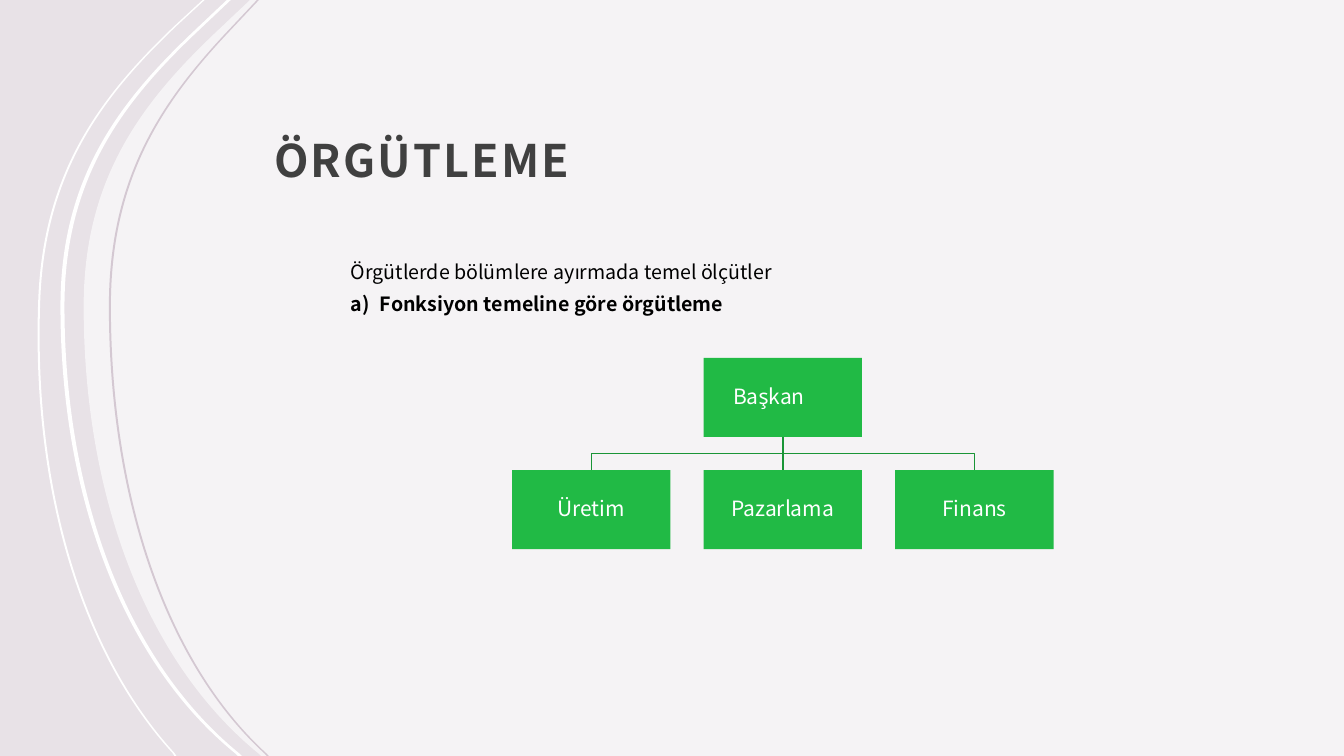
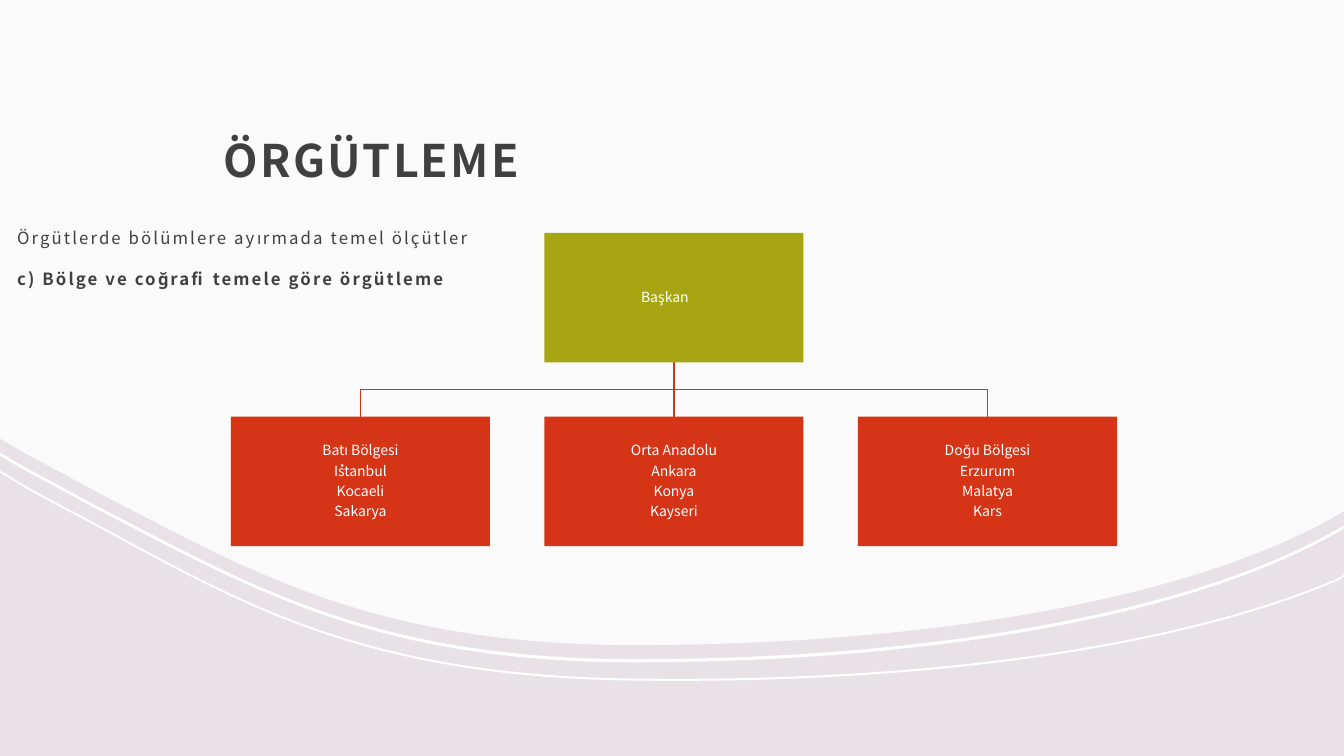
import dataclasses

import pptx
import pptx.dml.color
import pptx.enum.shapes
import pptx.enum.text
import pptx.oxml
import pptx.oxml.ns
import pptx.util
from pptx.util import Inches

SLIDE_WIDTH, SLIDE_HEIGHT = 13.33, 7.5


@dataclasses.dataclass(frozen=True)
class Theme:
    font: str = "Noto Sans CJK JP"
    background: str = "E8E2E7"
    white: str = "FFFFFF"
    hairline: str = "D4C8D2"
    dark: str = "404040"
    black: str = "000000"
    green: str = "21BA45"
    green_line: str = "1A9537"
    olive: str = "A8A512"
    red: str = "D53417"
    title_size: float = 32
    body_size: float = 14
    small_body_size: float = 12
    box_size: float = 15
    small_box_size: float = 10


def rgb(color):
    return pptx.dml.color.RGBColor.from_string(color)


def add_xml(parent, tag, **attributes):
    element = pptx.oxml.parse_xml(f"<a:{tag} {pptx.oxml.ns.nsdecls('a')}/>")
    for name, value in attributes.items():
        element.set(name, str(value))
    parent.append(element)
    return element


def shift(points, right=0, down=0):
    return [(x + right, y + down) for x, y in points]


class Deck:
    def __init__(self, theme):
        self.theme = theme
        self.presentation = pptx.Presentation()
        self.presentation.slide_width = Inches(SLIDE_WIDTH)
        self.presentation.slide_height = Inches(SLIDE_HEIGHT)
        fill = self.presentation.slide_master.background.fill
        fill.solid()
        fill.fore_color.rgb = rgb(theme.background)
        self.slide = None

    def new_slide(self):
        self.slide = self.presentation.slides.add_slide(self.presentation.slide_layouts[5])

    def outline(self, points, kinds, close=True):
        """Draw a freeform; kinds has L for a line (one point), C for a curve (three)."""
        (x, y), *rest = [(Inches(x), Inches(y)) for x, y in points]
        builder = self.slide.shapes.build_freeform(x, y)
        builder.add_line_segments(rest, close=close)
        shape = builder.convert_to_shape()
        shape.shadow.inherit = False
        lines = iter(shape.element.findall(".//" + pptx.oxml.ns.qn("a:lnTo")))
        for kind in kinds:
            line = next(lines)
            if kind == "C":
                curve = add_xml(line.getparent(), "cubicBezTo")
                line.addprevious(curve)
                for part in (line, next(lines), next(lines)):
                    curve.append(part[0])
                    part.getparent().remove(part)
        return shape

    def area(self, points, kinds, color, opacity=100):
        shape = self.outline(points, kinds)
        shape.line.fill.background()
        shape.fill.solid()
        shape.fill.fore_color.rgb = rgb(color)
        if opacity < 100:
            fill_color = shape.element.spPr.find(".//" + pptx.oxml.ns.qn("a:srgbClr"))
            add_xml(fill_color, "alpha", val=opacity * 1000)

    def ribbon(self, points, kinds, color, right=0, down=0):
        """Fill the band between a curve and its shifted self; kinds is symmetric."""
        band = points + shift(points, right, down)[::-1]
        self.area(band, kinds + "L" + kinds, color)

    def style(self, paragraph, size, color, bold=False, spacing=0):
        for run in paragraph.runs:
            run.font.name = self.theme.font
            run.font.size = pptx.util.Pt(size)
            run.font.bold = bold
            run.font.color.rgb = rgb(color)
            if spacing:
                run._r.get_or_add_rPr().set("spc", str(int(spacing * 100)))

    def frame(self, shape, margins, anchor):
        text_frame = shape.text_frame
        text_frame.word_wrap = True
        text_frame.auto_size = pptx.enum.text.MSO_AUTO_SIZE.NONE
        text_frame.vertical_anchor = anchor
        (text_frame.margin_left, text_frame.margin_top,
         text_frame.margin_right, text_frame.margin_bottom) = map(Inches, margins)
        return text_frame

    def title(self, text, left):
        title = self.slide.shapes.title
        title.element.getparent().append(title.element)  # above the panel
        title.left, title.top = Inches(left), Inches(0.48)
        title.width, title.height = Inches(9.18), Inches(1.47)
        text_frame = self.frame(title, (0.12, 0.12, 0.12, 0.1),
                                pptx.enum.text.MSO_ANCHOR.BOTTOM)
        text_frame.text = text
        paragraph = text_frame.paragraphs[0]
        paragraph.alignment = pptx.enum.text.PP_ALIGN.LEFT
        paragraph.line_spacing = 1.3
        self.style(paragraph, self.theme.title_size, self.theme.dark, True, 1.5)

    def body(self, lines, place, size, color, margins, gap, line_spacing=1.0,
             spacing=0, numbered=False):
        """Write an intro line and a bold, optionally lettered, second line."""
        box = self.slide.shapes.add_textbox(*map(Inches, place))
        text_frame = self.frame(box, margins, pptx.enum.text.MSO_ANCHOR.TOP)
        text_frame.text = "\n".join(lines)
        for index, paragraph in enumerate(text_frame.paragraphs):
            paragraph.line_spacing = line_spacing
            if index:
                paragraph.space_before = pptx.util.Pt(gap)
                if numbered:
                    properties = paragraph._p.get_or_add_pPr()
                    properties.set("marL", str(Inches(0.29)))
                    properties.set("indent", str(Inches(-0.29)))
                    add_xml(properties, "buFont", typeface=self.theme.font)
                    add_xml(properties, "buAutoNum", type="alphaLcParenR")
            self.style(paragraph, size, color, bool(index), spacing)

    def box(self, text, left, top, width, fill, size, right_margin=0.01):
        shape = self.slide.shapes.add_shape(
            pptx.enum.shapes.MSO_SHAPE.RECTANGLE,
            *map(Inches, (left, top, width, width / 2)))
        shape.shadow.inherit = False
        shape.fill.solid()
        shape.fill.fore_color.rgb = rgb(fill)
        shape.line.fill.background()
        text_frame = self.frame(shape, (0.01, 0.01, right_margin, 0.01),
                                pptx.enum.text.MSO_ANCHOR.MIDDLE)
        text_frame.text = text
        for paragraph in text_frame.paragraphs:
            paragraph.alignment = pptx.enum.text.PP_ALIGN.CENTER
            paragraph.line_spacing = 0.9
            paragraph.space_after = pptx.util.Pt(0.35 * size)
            self.style(paragraph, size, self.theme.white)

    def branch(self, points, color):
        """Draw an open line with square turns from the head to a unit."""
        shape = self.outline(points, "L" * (len(points) - 1), close=False)
        shape.fill.background()
        shape.line.color.rgb = rgb(color)
        shape.line.width = pptx.util.Pt(1)

    def organisation_chart(self, head, units, left, top, width, head_fill, unit_fill,
                           line_color, size):
        """Place a head box centred over a row of unit boxes."""
        gap = 0.21 * width
        lefts = [left + index * (width + gap) for index in range(len(units))]
        centers = [unit_left + width / 2 for unit_left in lefts]
        middle = (centers[0] + centers[-1]) / 2
        head_bottom = top + width / 2
        bus, units_top = head_bottom + gap / 2, head_bottom + gap
        for center in reversed(centers):
            straight = abs(center - middle) < 0.01
            turns = [] if straight else [(middle, bus), (center, bus)]
            self.branch([(middle, head_bottom), *turns, (center, units_top)], line_color)
        # the head's label sits a little left of centre
        self.box(head, middle - width / 2, top, width, head_fill, size, 0.019 * size)
        for unit, unit_left in zip(units, lefts):
            self.box(unit, unit_left, units_top, width, unit_fill, size)


def functional_slide(deck):
    theme = deck.theme
    deck.new_slide()
    kinds = "LCCL"
    edge = [(2.48, 0), (2.11, 0.35),
            (1.39, 1.04), (0.83, 1.79), (0.83, 3.04),
            (0.83, 4.92), (1.45, 6.57), (2.57, 7.48), (2.59, 7.5)]
    outer = [(2.01, 0), (1.75, 0.24),
             (1.02, 0.93), (0.43, 1.68), (0.38, 2.97),
             (0.31, 4.8), (0.78, 6.45), (1.71, 7.47), (1.73, 7.5)]
    inner = [(1.08 + (x - 0.83) * 0.89, y) for x, y in edge]
    deck.area(edge + [(SLIDE_WIDTH, SLIDE_HEIGHT), (SLIDE_WIDTH, 0)], kinds + "LL",
              theme.white, 60)
    deck.ribbon(outer, kinds, theme.white, right=0.02)
    deck.ribbon(shift(edge, right=-0.23), kinds, theme.white, right=0.04)
    deck.ribbon(inner, kinds, theme.hairline, right=0.02)
    deck.title("ÖRGÜTLEME", 2.6)
    deck.body(["Örgütlerde bölümlere ayırmada temel ölçütler",
               "Fonksiyon temeline göre örgütleme"],
              (3.38, 2.53, 7.52, 3.13), theme.body_size, theme.black,
              (0.1, 0.05, 0.1, 0.05), gap=6, numbered=True)
    deck.organisation_chart("Başkan", ["Üretim", "Pazarlama", "Finans"],
                            5.08, 3.55, 1.57, theme.green, theme.green,
                            theme.green_line, theme.box_size)


def regional_slide(deck):
    theme = deck.theme
    deck.new_slide()
    kinds = "LCCCL"
    edge = [(0, 4.35), (0.15, 4.44),
            (0.4, 4.58), (0.67, 4.72), (0.94, 4.87),
            (2.44, 5.64), (3.67, 6.4), (6.29, 6.4),
            (9.26, 6.4), (11.87, 5.93), (13.3, 5.09), (SLIDE_WIDTH, 5.07)]
    lower = [(0, 4.67), (0.02, 4.68),
             (0.26, 4.83), (0.52, 4.97), (0.79, 5.11),
             (2.27, 5.9), (3.46, 6.68), (6.18, 6.73),
             (9.07, 6.78), (11.67, 6.43), (13.29, 5.73), (SLIDE_WIDTH, 5.7)]
    deck.area(edge + [(SLIDE_WIDTH, 0), (0, 0)], kinds + "LL", theme.white, 85)
    deck.title("ÖRGÜTLEME", 2.1)
    deck.ribbon(lower, kinds, theme.white, down=0.02)
    deck.ribbon(shift(edge, down=0.14), kinds, theme.white, down=0.03)
    deck.body(["Örgütlerde bölümlere ayırmada temel ölçütler",
               "c) Bölge ve coğrafi temele göre örgütleme"],
              (0.05, 2.06, 9.59, 3.99), theme.small_body_size, theme.dark,
              (0.12, 0.12, 0.12, 0.1), gap=9.3, line_spacing=1.4, spacing=1.5)
    regions = ["Batı Bölgesi\nİstanbul\nKocaeli\nSakarya",
               "Orta Anadolu\nAnkara\nKonya\nKayseri",
               "Doğu Bölgesi\nErzurum\nMalatya\nKars"]
    deck.organisation_chart("Başkan", regions, 2.29, 2.31, 2.57, theme.olive,
                            theme.red, theme.red, theme.small_box_size)


def main():
    deck = Deck(Theme())
    functional_slide(deck)
    regional_slide(deck)
    deck.presentation.save("out.pptx")


if __name__ == "__main__":
    main()
